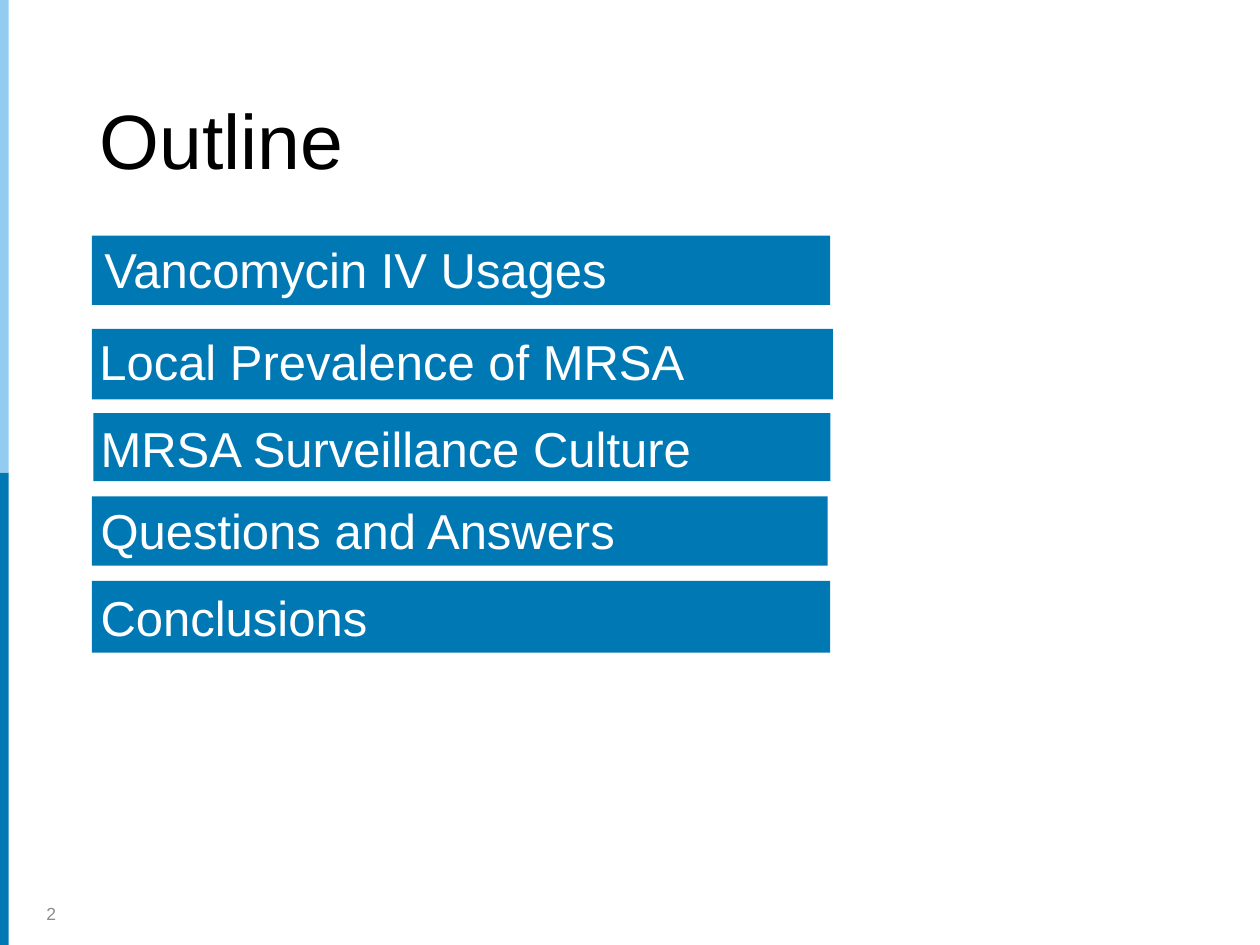
from pptx import Presentation
from pptx.dml.color import RGBColor
from pptx.enum.shapes import MSO_SHAPE
from pptx.enum.text import MSO_ANCHOR, MSO_AUTO_SIZE, PP_ALIGN
from pptx.util import Inches, Pt

BLUE, LIGHT_BLUE = "0078B3", "92CCF0"
WHITE, BLACK, GRAY = "FFFFFF", "000000", "8C8C8C"

# Topic, bar box, label offset from the bar (left, top)
TOPICS = [
    ("Vancomycin IV Usages", (0.73, 1.87, 5.86, 0.55), (0, -0.02)),
    ("Local Prevalence of MRSA", (0.73, 2.61, 5.88, 0.56), (-0.04, -0.03)),
    ("MRSA Surveillance Culture", (0.74, 3.28, 5.85, 0.54), (-0.04, -0.01)),
    ("Questions and Answers", (0.73, 3.94, 5.84, 0.55), (-0.03, -0.02)),
    ("Conclusions", (0.73, 4.61, 5.86, 0.57), (-0.03, 0)),
]
LABEL_SIZE = (5.61, 0.57)


def rgb(color):
    return RGBColor.from_string(color)


def add_bar(slide, box, color):
    s = slide.shapes.add_shape(MSO_SHAPE.RECTANGLE, *map(Inches, box))
    s.shadow.inherit = False
    s.fill.solid()
    s.fill.fore_color.rgb = rgb(color)
    s.line.fill.background()


def write(sp, text, size, color, anchor=MSO_ANCHOR.TOP, spacing=None):
    tf = sp.text_frame
    frame_format = {"word_wrap": True, "auto_size": MSO_AUTO_SIZE.NONE,
                    "vertical_anchor": anchor}
    for name, value in frame_format.items():
        setattr(tf, name, value)
    p = tf.paragraphs[0]
    p.alignment = PP_ALIGN.LEFT
    p.line_spacing = spacing
    r = p.add_run()
    r.text = text
    for name, value in {"name": "Arial", "size": Pt(size)}.items():
        setattr(r.font, name, value)
    r.font.color.rgb = rgb(color)


def add_text(slide, box, text, size, color, anchor=MSO_ANCHOR.TOP):
    sp = slide.shapes.add_textbox(*map(Inches, box))
    write(sp, text, size, color, anchor)


def add_side_band(slide, left, top, width, height):
    half = height / 2
    for i, color in enumerate((LIGHT_BLUE, BLUE)):
        add_bar(slide, (left, top + i * half, width, half), color)


def place_title(slide, box, text):
    sp = slide.shapes.title
    for name, value in zip(("left", "top", "width", "height"), box):
        setattr(sp, name, Inches(value))
    write(sp, text, 44, BLACK, MSO_ANCHOR.MIDDLE, spacing=0.9)


def add_topic(slide, box, offset, text):
    add_bar(slide, box, BLUE)
    left, top = (start + shift for start, shift in zip(box, offset))
    add_text(slide, (left, top, *LABEL_SIZE), text, 28, WHITE)


def build_outline(prs):
    slide = prs.slides.add_slide(prs.slide_layouts[5])
    add_side_band(slide, 0, 0, 0.07, 7.5)
    for text, box, offset in TOPICS:
        add_topic(slide, box, offset, text)
    place_title(slide, (0.69, 0.8, 8.56, 0.69), "Outline")
    add_text(slide, (0.27, 6.98, 6.66, 0.4), "2", 10, GRAY, MSO_ANCHOR.BOTTOM)


def main():
    prs = Presentation()
    prs.slide_width, prs.slide_height = Inches(10), Inches(7.5)
    build_outline(prs)
    prs.save("out.pptx")


if __name__ == "__main__":
    main()
